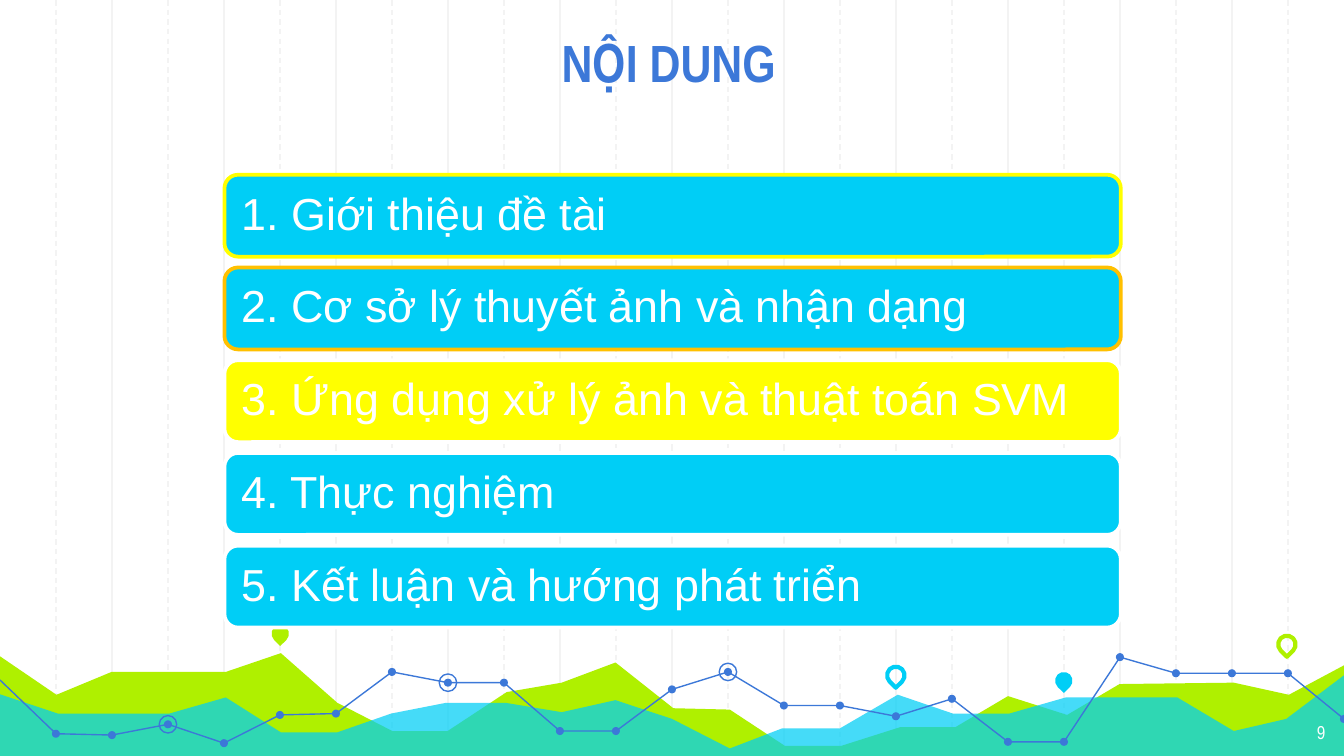
from lxml.etree import SubElement
from pptx import Presentation
from pptx.dml.color import RGBColor
from pptx.enum.dml import MSO_LINE
from pptx.enum.shapes import MSO_CONNECTOR, MSO_SHAPE
from pptx.enum.text import MSO_ANCHOR, PP_ALIGN
from pptx.oxml.ns import qn
from pptx.util import Inches, Pt

WHITE = RGBColor(0xFF, 0xFF, 0xFF)
GRID_GRAY = RGBColor(0xF3, 0xF3, 0xF3)
GREEN = RGBColor(0xAF, 0xF0, 0x00)
CYAN = RGBColor(0x00, 0xCE, 0xF6)
BLUE = RGBColor(0x3C, 0x78, 0xD8)
YELLOW = RGBColor(0xFF, 0xFF, 0x00)
ORANGE = RGBColor(0xFF, 0xC0, 0x00)

WIDTH, HEIGHT = 10, 5.625
STEP = WIDTH / 24

GREEN_RIDGE = [
    (-0.02, 4.87), (0.42, 5.17), (0.83, 5), (1.68, 5), (2.09, 4.86), (2.51, 5.23),
    (2.92, 5.44), (3.33, 5.44), (3.77, 5.15), (4.18, 5.08), (4.58, 4.93), (5.01, 5.27),
    (5.43, 5.28), (5.84, 5.55), (6.26, 5.55), (6.7, 5.41), (7.11, 5.41), (7.5, 5.18),
    (7.94, 5.32), (8.33, 5.09), (9.18, 5.08), (9.59, 5.17), (10.02, 4.94),
]
CYAN_RIDGE = [
    (-0.02, 5.16), (0.43, 5.31), (1.26, 5.31), (1.68, 5.19), (2.09, 5.45), (2.51, 5.45),
    (2.91, 5.31), (3.32, 5.23), (3.76, 5.23), (4.18, 5.3), (4.58, 5.21), (5, 5.35),
    (5.43, 5.57), (5.82, 5.42), (6.25, 5.42), (6.68, 5.17), (7.09, 5.31), (7.51, 5.31),
    (7.93, 5.19), (8.76, 5.19), (9.18, 5.44), (9.57, 5.35), (10.02, 5.01),
]
TREND_HEIGHTS = [
    5.06, 5.46, 5.47, 5.39, 5.53, 5.32, 5.31, 5, 5.08, 5.08, 5.44, 5.44, 5.13,
    5, 5.25, 5.25, 5.33, 5.2, 5.52, 5.52, 4.89, 5.01, 5.01, 5.01, 5.35,
]
TREND_SEGMENTS = [(0, 11), (11, 20), (20, 24)]
RINGED_POINTS = [3, 8, 13]
PINS = [
    (2.02, 4.65, GREEN, True),
    (6.6, 4.96, CYAN, False),
    (7.85, 5, CYAN, True),
    (9.51, 4.73, GREEN, False),
]
TOPICS = [
    ("1. Giới thiệu đề tài", CYAN, YELLOW),
    ("2. Cơ sở lý thuyết ảnh và nhận dạng", CYAN, ORANGE),
    ("3. Ứng dụng xử lý ảnh và thuật toán SVM", YELLOW, WHITE),
    ("4. Thực nghiệm", CYAN, WHITE),
    ("5. Kết luận và hướng phát triển", CYAN, WHITE),
]


def style_shape(shape, fill=None, line=None, line_width=0.75):
    """Set the fill and outline of a shape, leaving out whatever is None."""
    shape.shadow.inherit = False
    if fill is None:
        shape.fill.background()
    else:
        shape.fill.solid()
        shape.fill.fore_color.rgb = fill
    if line is None:
        shape.line.fill.background()
    else:
        shape.line.color.rgb = line
        shape.line.width = Pt(line_width)


def add_preset(slide, preset, left, top, width, height):
    """Add a preset shape placed in inches."""
    return slide.shapes.add_shape(
        preset, Inches(left), Inches(top), Inches(width), Inches(height)
    )


def add_outline(slide, points, closed):
    """Add a freeform through the given points."""
    vertices = [(Inches(x), Inches(y)) for x, y in points]
    builder = slide.shapes.build_freeform(*vertices[0])
    builder.add_line_segments(vertices[1:], close=closed)
    return builder.convert_to_shape()


def write_text(shape, text, font_name, size, color, align, anchor, bold=False):
    """Write one run of text into a shape."""
    frame = shape.text_frame
    frame.word_wrap = True
    frame.vertical_anchor = anchor
    frame.margin_left = frame.margin_right = Inches(0.1)
    frame.margin_top = frame.margin_bottom = Inches(0.1)
    paragraph = frame.paragraphs[0]
    paragraph.alignment = align
    run = paragraph.add_run()
    run.text = text
    run.font.name = font_name
    run.font.size = Pt(size)
    run.font.bold = bold
    run.font.color.rgb = color
    return paragraph


def add_label(slide, box, *text_style, **options):
    """Add a text box holding one run."""
    label = slide.shapes.add_textbox(*(Inches(length) for length in box))
    write_text(label, *text_style, **options)


def add_grid(slide, height):
    """Draw solid vertical lines with dashed lines halfway between them."""
    for first, dash in ((2, None), (1, MSO_LINE.DASH)):
        for column in range(first, 24, 2):
            x = Inches(column * STEP)
            connector = slide.shapes.add_connector(
                MSO_CONNECTOR.STRAIGHT, x, 0, x, Inches(height)
            )
            connector.line.color.rgb = GRID_GRAY
            connector.line.width = Pt(0.75)
            if dash:
                connector.line.dash_style = dash
            SubElement(connector._element.spPr, qn("a:effectLst"))


def add_landscape(slide, bottom):
    """Fill the two ridges down to the bottom edge, the front one see-through."""
    for ridge, color in ((GREEN_RIDGE, GREEN), (CYAN_RIDGE, CYAN)):
        hill = add_outline(slide, ridge + [(10.02, bottom), (-0.03, bottom)], True)
        style_shape(hill, fill=color)
    color_element = hill._element.spPr.find(qn("a:solidFill"))[0]
    SubElement(color_element, qn("a:alpha"), val="73000")


def add_pins(slide, size):
    """Add filled and hollow map pins."""
    for left, top, color, filled in PINS:
        pin = add_preset(slide, MSO_SHAPE.TEAR, left, top, size, size)
        pin.rotation = 135
        if filled:
            style_shape(pin, fill=color)
        else:
            style_shape(pin, line=color, line_width=2.25)


def add_trend(slide, dot_size, ring_size):
    """Draw the trend line with its dots and rings."""
    points = [(index * STEP, y) for index, y in enumerate(TREND_HEIGHTS)]
    for start, end in TREND_SEGMENTS:
        style_shape(add_outline(slide, points[start:end + 1], False), line=BLUE)
    dots = [(point, dot_size, BLUE, None) for point in points[1:]]
    rings = [(points[index], ring_size, None, BLUE) for index in RINGED_POINTS]
    for (x, y), size, fill, line in dots + rings:
        marker = add_preset(slide, MSO_SHAPE.OVAL, x - size / 2, y - size / 2, size, size)
        style_shape(marker, fill=fill, line=line)


def add_topics(slide, left, top, width, height, pitch):
    """Stack the topic bars at an even pitch."""
    for index, (text, fill, line) in enumerate(TOPICS):
        bar = add_preset(
            slide, MSO_SHAPE.ROUNDED_RECTANGLE, left, top + index * pitch, width, height
        )
        style_shape(bar, fill, line, 2)
        paragraph = write_text(
            bar, text, "Arial", 24, WHITE, PP_ALIGN.LEFT, MSO_ANCHOR.MIDDLE
        )
        paragraph.line_spacing = 0.9


def build_contents_slide(presentation):
    """Build the contents slide."""
    slide = presentation.slides.add_slide(presentation.slide_layouts[6])
    slide.background.fill.solid()
    slide.background.fill.fore_color.rgb = WHITE
    add_grid(slide, HEIGHT)
    add_landscape(slide, 5.65)
    add_pins(slide, 0.13)
    add_trend(slide, 0.06, 0.13)
    add_label(slide, (1.15, 0.14, 7.65, 0.65), "NỘI DUNG", "Arial Narrow", 28, BLUE,
              PP_ALIGN.CENTER, MSO_ANCHOR.BOTTOM, bold=True)
    add_label(slide, (9.36, 5.28, 0.6, 0.35), "9", "Arial Narrow", 10, WHITE,
              PP_ALIGN.RIGHT, MSO_ANCHOR.TOP)
    add_topics(slide, 1.67, 1.3, 6.67, 0.61, 0.69)


def main():
    """Create and save the presentation."""
    presentation = Presentation()
    presentation.slide_width = Inches(WIDTH)
    presentation.slide_height = Inches(HEIGHT)
    build_contents_slide(presentation)
    presentation.save("out.pptx")


if __name__ == "__main__":
    main()
